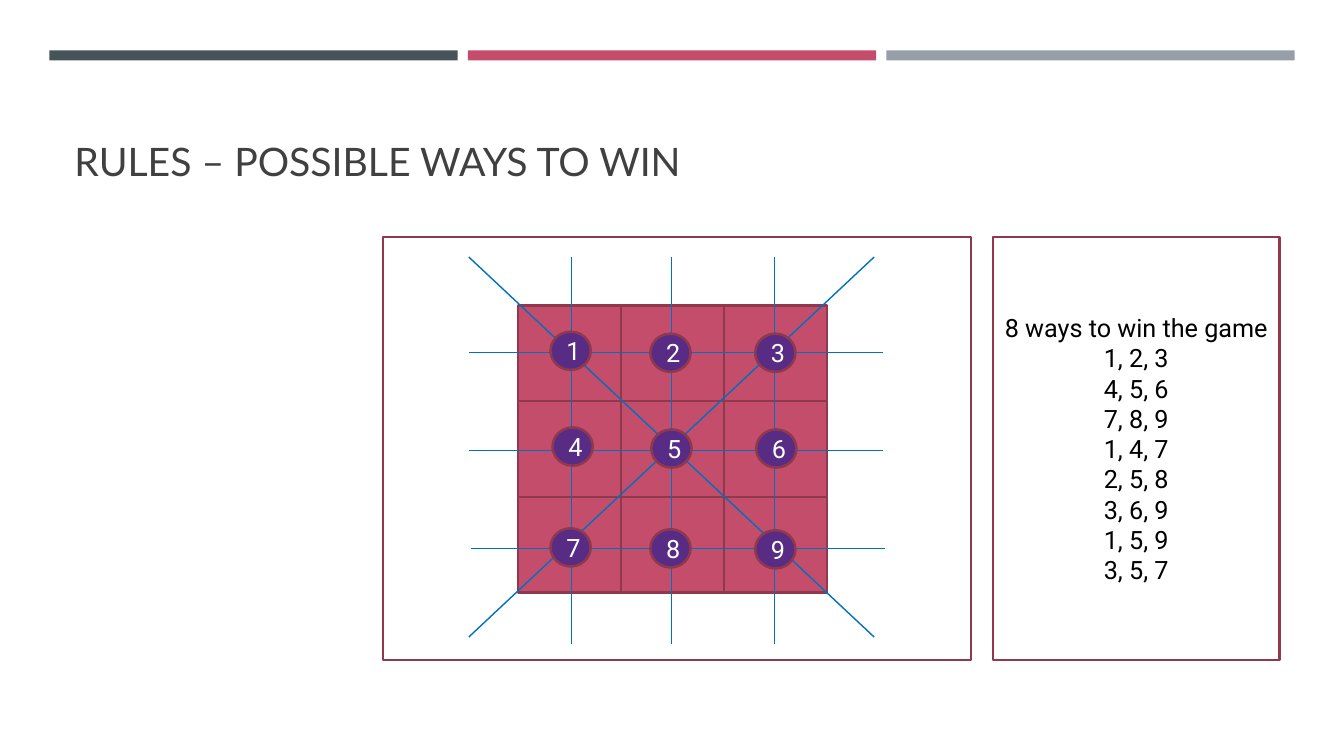
from lxml import etree
from pptx import Presentation
from pptx import util as u
from pptx.dml import color
from pptx.enum import shapes, text
from pptx.oxml import ns

COLORS = {
    "slate": "465359", "rose": "C34D6A", "gray": "969FA7", "border": "90394E",
    "strike": "0070C0", "purple": "582C85", "title": "404040",
    "black": "000000", "white": "FFFFFF",
}


class SlideBuilder:
    border_width = u.Pt(1.75)
    strike_width = u.Pt(1)

    def __init__(self, slide):
        self.slide = slide

    def color(self, name):
        return color.RGBColor.from_string(COLORS[name])

    def box(self, left, top, width, height, fill=None, border=None,
            kind=shapes.MSO_SHAPE.RECTANGLE):
        shape = self.slide.shapes.add_shape(
            kind, u.Inches(left), u.Inches(top), u.Inches(width), u.Inches(height))
        shape.shadow.inherit = False
        if fill:
            shape.fill.solid()
            shape.fill.fore_color.rgb = self.color(fill)
        else:
            shape.fill.background()
        if border:
            shape.line.color.rgb = self.color(border)
            shape.line.width = self.border_width
        else:
            shape.line.fill.background()
        return shape

    def label(self, shape, words, size, font, ink,
              align=text.PP_ALIGN.CENTER, anchor=text.MSO_ANCHOR.MIDDLE):
        frame = shape.text_frame
        frame.word_wrap = True
        frame.vertical_anchor = anchor
        frame.text = words
        for paragraph in frame.paragraphs:
            paragraph.alignment = align
            for run in paragraph.runs:
                run.font.size = u.Pt(size)
                run.font.name = font
                run.font.color.rgb = self.color(ink)

    def title(self, left, top, width, height, words):
        shape = self.slide.shapes.add_textbox(
            u.Inches(left), u.Inches(top), u.Inches(width), u.Inches(height))
        self.label(shape, words, 28, "Lato", "title",
                   text.PP_ALIGN.LEFT, text.MSO_ANCHOR.BOTTOM)

    def strike(self, x1, y1, x2, y2):
        line = self.slide.shapes.add_connector(
            shapes.MSO_CONNECTOR.STRAIGHT,
            u.Inches(x1), u.Inches(y1), u.Inches(x2), u.Inches(y2))
        line.line.color.rgb = self.color("strike")
        line.line.width = self.strike_width
        etree.SubElement(line._element.spPr, ns.qn("a:effectLst"))

    def marker(self, left, top, number):
        shape = self.box(left, top, 0.4, 0.38, "purple", "border",
                         shapes.MSO_SHAPE.OVAL)
        self.label(shape, str(number), 18, "Roboto", "white")


presentation = Presentation()
presentation.slide_width = u.Inches(13.33)
presentation.slide_height = u.Inches(7.5)
builder = SlideBuilder(presentation.slides.add_slide(presentation.slide_layouts[6]))

for column, fill in enumerate(("slate", "rose", "gray")):
    builder.box(0.49 + 4.15 * column, 0.5, 4.05, 0.1, fill)
builder.title(0.64, 0.77, 12.06, 1.11, "RULES – POSSIBLE WAYS TO WIN")

cell_width, cell_height = 1.02, 0.95
for row in range(3):
    for column in range(3):
        builder.box(5.14 + cell_width * column, 3.03 + cell_height * row,
                    cell_width, cell_height, "rose", "border")

builder.box(3.8, 2.35, 5.83, 4.2, border="border")
rules = builder.box(9.85, 2.35, 2.84, 4.2, border="border")
wins = ["1, 2, 3", "4, 5, 6", "7, 8, 9", "1, 4, 7",
        "2, 5, 8", "3, 6, 9", "1, 5, 9", "3, 5, 7"]
builder.label(rules, "\n".join(["8 ways to win the game"] + wins),
              18, "Roboto", "black")

builder.strike(4.65, 2.55, 8.67, 6.32)
builder.strike(8.67, 2.55, 4.65, 6.32)
for left, y in ((4.65, 3.5), (4.65, 4.47), (4.67, 5.44)):
    builder.strike(left, y, left + 4.11, y)
for x in (5.67, 6.66, 7.68):
    builder.strike(x, 2.55, x, 6.39)

marker_places = [
    (5.46, 3.29), (6.45, 3.31), (7.49, 3.31),
    (5.48, 4.24), (6.46, 4.26), (7.5, 4.26),
    (5.46, 5.24), (6.45, 5.25), (7.49, 5.26),
]
for number, (left, top) in enumerate(marker_places, start=1):
    builder.marker(left, top, number)

presentation.save("out.pptx")
